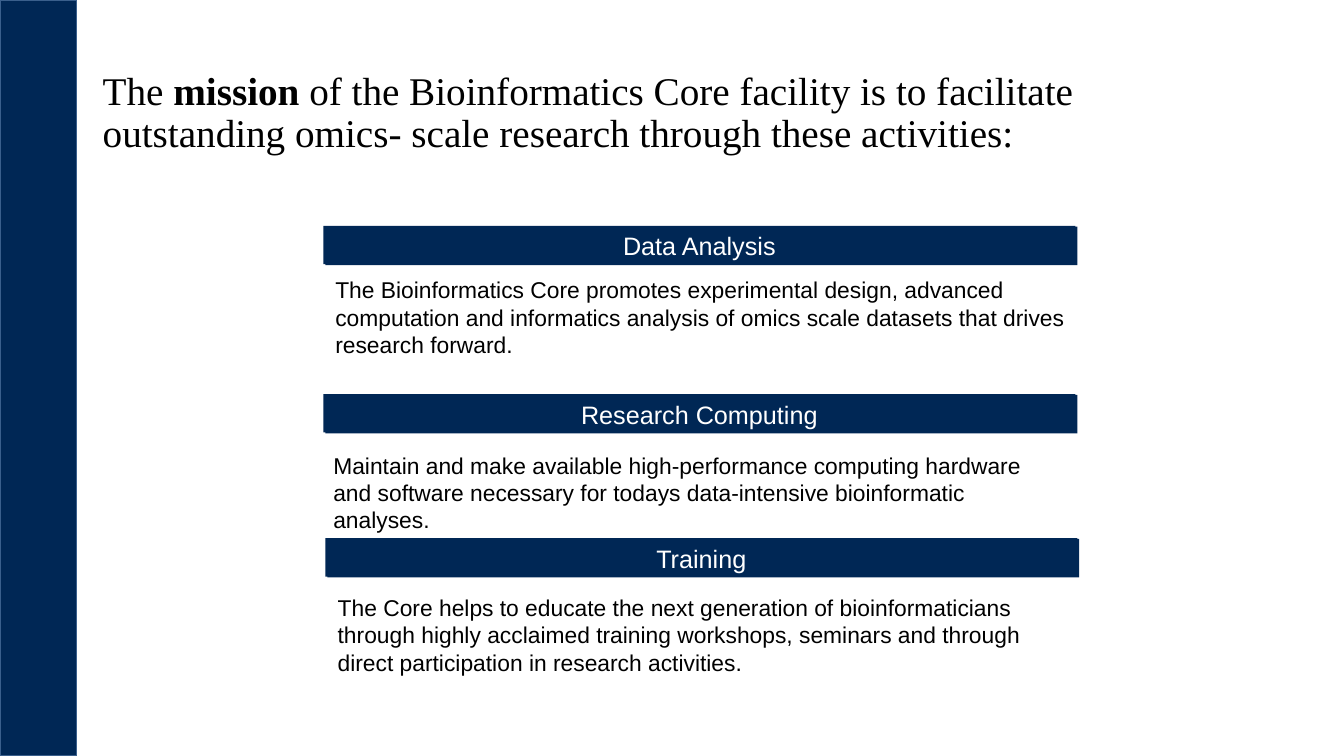
import dataclasses

import pptx
import pptx.dml.color
import pptx.enum.shapes
import pptx.enum.text
import pptx.util

Cm, Pt = pptx.util.Cm, pptx.util.Pt
ALIGN = pptx.enum.text.PP_ALIGN
ANCHOR = pptx.enum.text.MSO_ANCHOR

COLORS = {"navy": "002755", "edge": "3A5F8C", "black": "000000", "white": "FFFFFF"}
TITLE = {"name": "Times New Roman", "size": Pt(28)}
HEADING = {"name": "Arial", "size": Pt(18)}
BODY = {"name": "Arial", "size": Pt(16.3)}
BAND_W, BAND_H = 18.95, 0.97


@dataclasses.dataclass
class Activity:
    heading: str
    body: str
    left: float
    top: float
    body_left: float
    body_top: float


ACTIVITIES = [
    Activity("Data Analysis",
             "The Bioinformatics Core promotes experimental design, advanced computation and "
             "informatics analysis of omics scale datasets that drives research forward.",
             8.15, 5.69, 8.2, 6.83),
    Activity("Research Computing",
             "Maintain and make available high-performance computing hardware and software "
             "necessary for todays data-intensive bioinformatic analyses.",
             8.15, 9.93, 8.15, 11.25),
    Activity("Training",
             "The Core helps to educate the next generation of bioinformaticians through highly "
             "acclaimed training workshops, seminars and through direct participation in "
             "research activities.",
             8.2, 13.56, 8.26, 14.83),
]


def rgb(name: str) -> pptx.dml.color.RGBColor:
    return pptx.dml.color.RGBColor.from_string(COLORS[name])


def apply(target, formats: dict) -> None:
    for name, value in formats.items():
        setattr(target, name, value)


def add_bar(shapes, left: float, top: float, width: float, height: float):
    sp = shapes.add_shape(pptx.enum.shapes.MSO_SHAPE.RECTANGLE,
                          Cm(left), Cm(top), Cm(width), Cm(height))
    sp.shadow.inherit = False
    sp.fill.solid()
    sp.fill.fore_color.rgb = rgb("navy")
    sp.line.fill.background()
    return sp


def add_text(shapes, left: float, top: float, width: float, height: float,
             runs: list[tuple[str, bool]], font: dict, color: str,
             para: dict, anchor=ANCHOR.TOP) -> None:
    tf = shapes.add_textbox(Cm(left), Cm(top), Cm(width), Cm(height)).text_frame
    apply(tf, {"word_wrap": True, "vertical_anchor": anchor})
    p = tf.paragraphs[0]
    apply(p, para)
    for text, bold in runs:
        r = p.add_run()
        r.text = text
        apply(r.font, {**font, "bold": bold})
        r.font.color.rgb = rgb(color)


def add_activity(shapes, a: Activity) -> None:
    # Two slightly offset bars form each heading band
    band = shapes.add_group_shape()
    for dx, dy in ((0, 0), (0.05, 0.02)):
        add_bar(band.shapes, a.left + dx, a.top + dy, BAND_W, BAND_H)
    add_text(shapes, a.left, a.top, BAND_W, 1.02, [(a.heading, False)],
             HEADING, "white", {"alignment": ALIGN.CENTER})
    add_text(shapes, a.body_left, a.body_top, BAND_W, 2.36, [(a.body, False)],
             BODY, "black", {"alignment": ALIGN.LEFT})


prs = pptx.Presentation()
apply(prs, {"slide_width": Cm(33.87), "slide_height": Cm(19.05)})
s = prs.slides.add_slide(prs.slide_layouts[6])

# Side strip
strip = add_bar(s.shapes, 0, 0, 1.93, 19.05)
strip.line.color.rgb = rgb("edge")
strip.line.width = Pt(1)

# Mission statement
add_text(s.shapes, 2.34, 1.02, 29.21, 3.68,
         [("The ", False), ("mission", True),
          (" of the Bioinformatics Core facility is to facilitate outstanding omics- scale "
           "research through these activities:", False)],
         TITLE, "black", {"line_spacing": 0.9}, ANCHOR.MIDDLE)

# Activities
for activity in ACTIVITIES:
    add_activity(s.shapes, activity)

prs.save("out.pptx")
